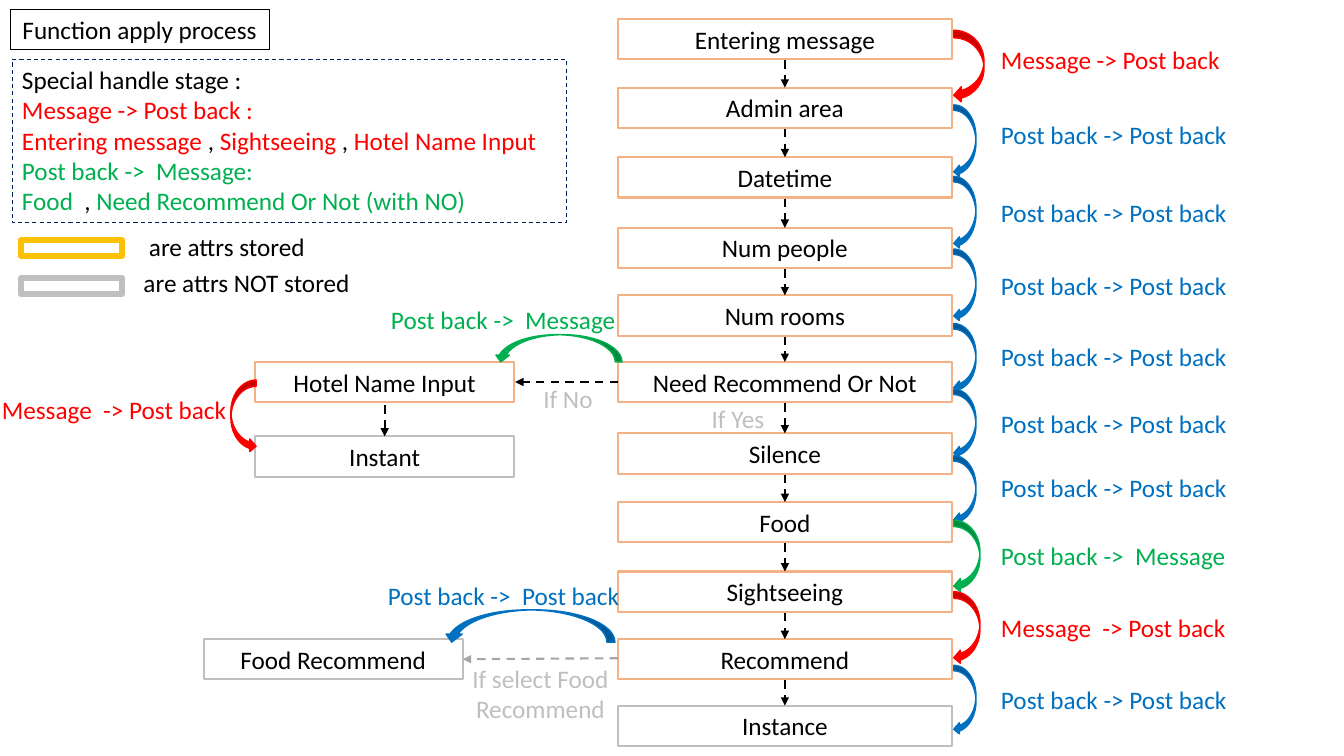
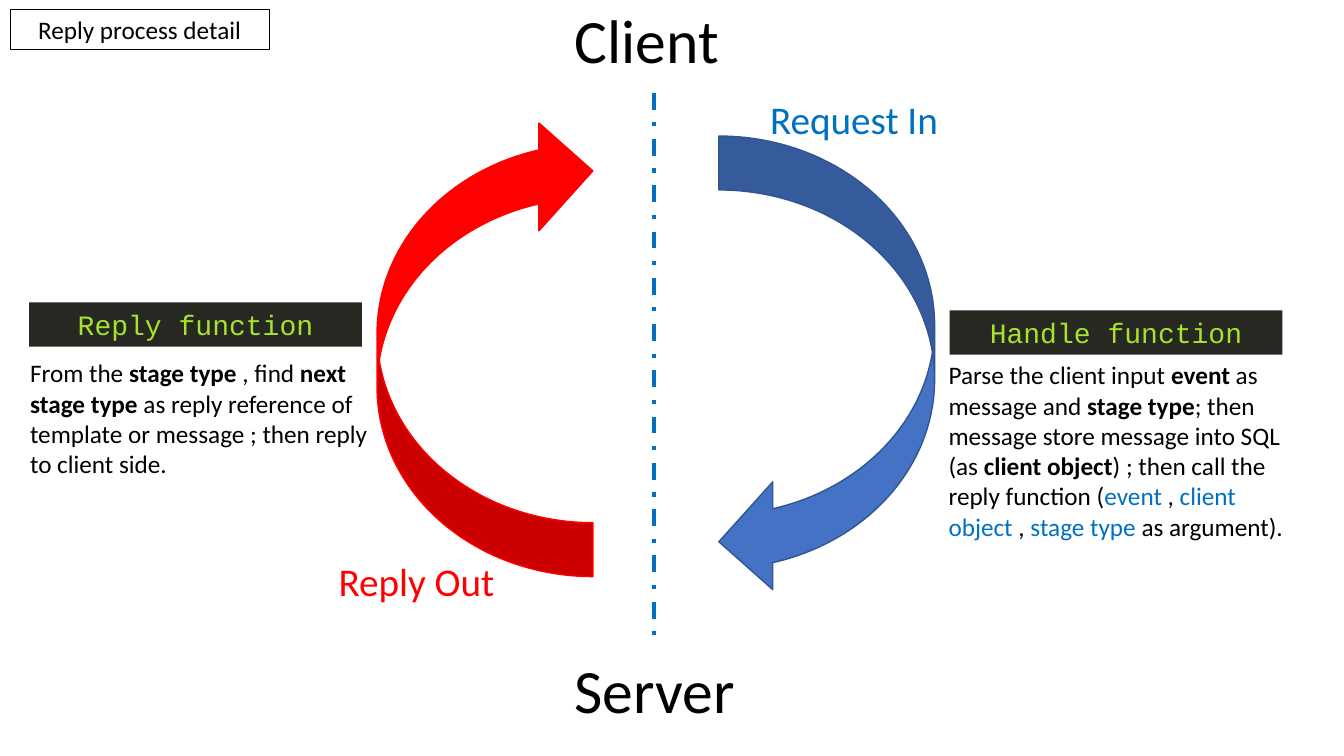
from itertools import pairwise

from lxml import etree
from pptx import Presentation
from pptx.dml.color import RGBColor
from pptx.enum.dml import MSO_LINE
from pptx.enum.shapes import MSO_CONNECTOR, MSO_SHAPE
from pptx.enum.text import MSO_ANCHOR, PP_ALIGN
from pptx.oxml.ns import qn
from pptx.util import Inches, Pt

BLACK = RGBColor(0x00, 0x00, 0x00)
RED = RGBColor(0xFF, 0x00, 0x00)
BLUE = RGBColor(0x00, 0x70, 0xC0)
GREEN = RGBColor(0x00, 0xB0, 0x50)
PEACH = RGBColor(0xF4, 0xB1, 0x83)
GOLD = RGBColor(0xFF, 0xC0, 0x00)
GREY = RGBColor(0xBF, 0xBF, 0xBF)
DIM = RGBColor(0xA6, 0xA6, 0xA6)
NAVY = RGBColor(0x00, 0x20, 0x60)
ROYAL = RGBColor(0x44, 0x72, 0xC4)
EDGE = RGBColor(0x32, 0x54, 0x91)
CODE = RGBColor(0x27, 0x28, 0x22)
LIME = RGBColor(0xA6, 0xE2, 0x2E)

RECT = MSO_SHAPE.RECTANGLE
CURVE = MSO_SHAPE.CURVED_LEFT_ARROW
STRAIGHT = MSO_CONNECTOR.STRAIGHT
DASH, DOTTED = MSO_LINE.DASH, MSO_LINE.DASH_DOT
LEFT, CENTER = PP_ALIGN.LEFT, PP_ALIGN.CENTER
TOP, MIDDLE = MSO_ANCHOR.TOP, MSO_ANCHOR.MIDDLE

ROW = 0.4
WIDE, SMALL = 3.31, 2.57
ASK = "Message -> Post back"
ASK_GAP = "Message  -> Post back"
POST = "Post back -> Post back"
POST_GAP = "Post back ->  Post back"
TELL = "Post back ->  Message"

# Stage name and its top, relative to the flow
STAGES = [
    ("Entering message", 0), ("Admin area", 0.68), ("Datetime", 1.37),
    ("Num people", 2.07), ("Num rooms", 2.74),
    ("Need Recommend Or Not", 3.4), ("Silence", 4.11), ("Food", 4.79),
    ("Sightseeing", 5.48), ("Recommend", 6.15), ("Instance", 6.81),
]
# Arrow top, width and height, label top, label, colour
HOPS = [
    (0.11, 0.3, 0.72, 0.2, ASK, RED),
    (0.85, 0.22, 0.72, 0.94, POST, BLUE),
    (1.56, 0.22, 0.72, 1.72, POST, BLUE),
    (2.28, 0.22, 0.72, 2.44, POST, BLUE),
    (3.02, 0.22, 0.69, 3.15, POST, BLUE),
    (3.67, 0.22, 0.69, 3.81, POST, BLUE),
    (4.33, 0.22, 0.69, 4.45, POST, BLUE),
    (4.97, 0.26, 0.72, 5.12, TELL, GREEN),
    (5.68, 0.26, 0.72, 5.84, ASK_GAP, RED),
    (6.41, 0.22, 0.69, 6.55, POST, BLUE),
]
NOTES = [
    [("Special handle stage :", BLACK)],
    [("Message -> Post back :", RED)],
    [("Entering message ", RED), (", ", BLACK), ("Sightseeing", RED),
     (" , ", BLACK), ("Hotel Name Input", RED)],
    [("Post back ->  Message:", GREEN)],
    [("Food ", GREEN), (" , ", BLACK),
     ("Need Recommend Or Not (with NO)", GREEN)],
]
HANDLE = [
    ("Parse the client input ", BLACK), ("event", BLACK, True),
    (" as message and ", BLACK), ("stage type", BLACK, True),
    ("; then message store message into SQL (as ", BLACK),
    ("client object", BLACK, True),
    (") ; then call the reply function (", BLACK), ("event", BLUE),
    (" , ", BLACK), ("client object", BLUE), (" , ", BLACK),
    ("stage type ", BLUE), ("as argument).", BLACK),
]
REPLY = [
    ("From the ", BLACK), ("stage type ", BLACK, True), (", find ", BLACK),
    ("next stage type ", BLACK, True),
    ("as reply reference of template or message ; "
     "then reply to client side.", BLACK),
]


def apply(item, **values):
    """Set each named attribute of item."""
    for name, value in values.items():
        setattr(item, name, value)


def write(shape, paras, size=18, font="Calibri", align=LEFT, anchor=TOP,
          wrap=True):
    """Fill a shape with paragraphs of (text, colour[, bold]) runs."""
    frame = shape.text_frame
    apply(frame, word_wrap=wrap, vertical_anchor=anchor)
    for i, runs in enumerate(paras):
        para = frame.add_paragraph() if i else frame.paragraphs[0]
        para.alignment = align
        for text, color, *bold in runs:
            run = para.add_run()
            run.text = text
            apply(run.font, size=Pt(size), name=font, bold=bool(bold))
            run.font.color.rgb = color


def label(slide, box, text, color, **look):
    shape = slide.shapes.add_textbox(*map(Inches, box))
    write(shape, [[(text, color)]], **look)


def draw(slide, kind, box, fill=None, line=None, width=1.5, dash=None):
    shape = slide.shapes.add_shape(kind, *map(Inches, box))
    shape.shadow.inherit = False
    for part, color in ((shape.fill, fill), (shape.line.fill, line)):
        if color is None:
            part.background()
        else:
            part.solid()
            part.fore_color.rgb = color
    if line is not None:
        apply(shape.line, width=Pt(width), dash_style=dash)
    return shape


def stage(slide, x, y, w, text, line=PEACH, width=1.5):
    shape = draw(slide, RECT, (x, y, w, ROW), line=line, width=width)
    write(shape, [[(text, BLACK)]], align=CENTER)


def curve(slide, box, color, line=None, turn=0, flip=False):
    shape = draw(slide, CURVE, box, color, line or color, 1)
    shape.rotation = turn
    if flip:
        shape.element.spPr.find(qn("a:xfrm")).set("flipH", "1")


def link(slide, start, end, color=BLACK, width=1.5, dash=DASH, head=True):
    wire = slide.shapes.add_connector(
        STRAIGHT, *map(Inches, (*start, *end)))
    apply(wire.line, width=Pt(width), dash_style=dash)
    wire.line.color.rgb = color
    if head:
        etree.SubElement(wire.line._get_or_add_ln(), qn("a:tailEnd"),
                         type="triangle")
    etree.SubElement(wire.element.spPr, qn("a:effectLst"))


def title(slide, text):
    stage(slide, 0.1, 0.09, SMALL, text, BLACK, 0.75)


def flow(slide, x, y):
    """Main column of stages, with the hops on its right."""
    for name, top in STAGES:
        line = GREY if name == "Instance" else PEACH
        stage(slide, x, y + top, WIDE, name, line)
    mid = x + WIDE / 2
    for (_, top), (_, below) in pairwise(STAGES):
        link(slide, (mid, y + top + ROW + 0.01), (mid, y + below))
    for top, w, h, text_top, text, color in HOPS:
        curve(slide, (x + WIDE + 0.02, y + top, w, h), color)
        label(slide, (x + 3.7, y + text_top, 2.66, ROW), text, color)


def hotel(slide, x, y):
    """Branch taken when no recommendation is needed."""
    mid = x + SMALL / 2
    stage(slide, x, y, SMALL, "Hotel Name Input")
    stage(slide, x, y + 0.74, SMALL, "Instant", GREY)
    link(slide, (mid, y + 0.43), (mid, y + 0.74))
    link(slide, (x + 3.6, y + 0.2), (x + SMALL + 0.01, y + 0.2))
    label(slide, (x + 2.76, y + 0.16, 0.81, ROW), "If No", GREY)
    label(slide, (x + 4.43, y + 0.36, 0.81, ROW), "If Yes", GREY)
    label(slide, (x + 1.25, y - 0.62, 2.66, ROW), TELL, GREEN)
    curve(slide, (x + 2.87, y - 0.77, 0.27, 1.27), GREEN, turn=90, flip=True)
    curve(slide, (x - 0.24, y + 0.18, 0.25, 0.72), RED, flip=True)
    label(slide, (x - 2.61, y + 0.27, 2.66, ROW), ASK_GAP, RED)


def food(slide, x, y):
    """Branch taken when food is selected."""
    stage(slide, x, y, SMALL, "Food Recommend", GREY)
    link(slide, (x + 4.11, y + 0.19), (x + SMALL, y + 0.2), DIM)
    label(slide, (x + 2.23, y + 0.19, 2.22, 0.71),
          "If select Food Recommend", GREY, align=CENTER)
    label(slide, (x + 1.69, y - 0.63, SMALL, ROW), POST_GAP, BLUE,
          align=CENTER)
    curve(slide, (x + 3.07, y - 0.98, 0.32, 1.7), BLUE, turn=90, flip=True)


def legend(slide, x, y):
    notes = draw(slide, RECT, (x, y, 5.5, 1.62), line=NAVY, width=0.75,
                 dash=DASH)
    write(notes, NOTES)
    keys = [(1.79, GOLD, 1.16, 1.66, 1.94, "are attrs stored"),
            (2.17, GREY, 1.17, 2.01, 2.31, "are attrs NOT stored")]
    for top, color, left, text_top, w, text in keys:
        draw(slide, RECT, (x + 0.09, y + top, 1, 0.16), line=color, width=4.5)
        label(slide, (x + left, y + text_top, w, ROW), text, BLACK,
              align=CENTER)


def panel(slide, x, y, name, runs, box):
    """Code heading with a paragraph placed relative to it."""
    head = draw(slide, RECT, (x, y, 3.3, 0.44), CODE)
    write(head, [[(name, LIME)]], 20, "Courier New", CENTER, MIDDLE)
    dx, dy, w, h = box
    body = slide.shapes.add_textbox(*map(Inches, (x + dx, y + dy, w, h)))
    write(body, [runs])


def cycle(slide, x, y):
    """Loop between client and server around a centre line."""
    curve(slide, (x + 0.64, y + 0.43, 2.14, 4.56), ROYAL, EDGE)
    curve(slide, (x - 2.75, y + 0.24, 2.14, 4.56), RED, turn=180)
    link(slide, (x, y), (x, y + 5.41), BLUE, 3, DOTTED, False)
    for top, w, text in ((-0.95, 1.65, "Client"), (5.5, 1.95, "Server")):
        label(slide, (x - 0.89, y + top, w, 0.84), text, BLACK, size=44,
              wrap=False)
    for dx, dy, text, color in ((0.84, -0.02, "Request In", BLUE),
                                (-3.5, 4.56, "Reply Out", RED)):
        label(slide, (x + dx, y + dy, 2.28, 0.57), text, color, size=28,
              align=CENTER)


def stages(slide):
    title(slide, "Function apply process")
    flow(slide, 6.13, 0.19)
    hotel(slide, 2.53, 3.59)
    food(slide, 2.02, 6.34)
    legend(slide, 0.12, 0.59)


def detail(slide):
    title(slide, "Reply process detail")
    cycle(slide, 6.49, 0.92)
    panel(slide, 9.42, 3.08, "Handle function", HANDLE,
          (-0.11, 0.44, 3.83, 1.92))
    panel(slide, 0.29, 3, "Reply function", REPLY, (-0.09, 0.5, 3.65, 1.31))


def main():
    deck = Presentation()
    apply(deck, slide_width=Inches(13.33), slide_height=Inches(7.5))
    for build in (stages, detail):
        build(deck.slides.add_slide(deck.slide_layouts[6]))
    deck.save("out.pptx")


if __name__ == "__main__":
    main()
